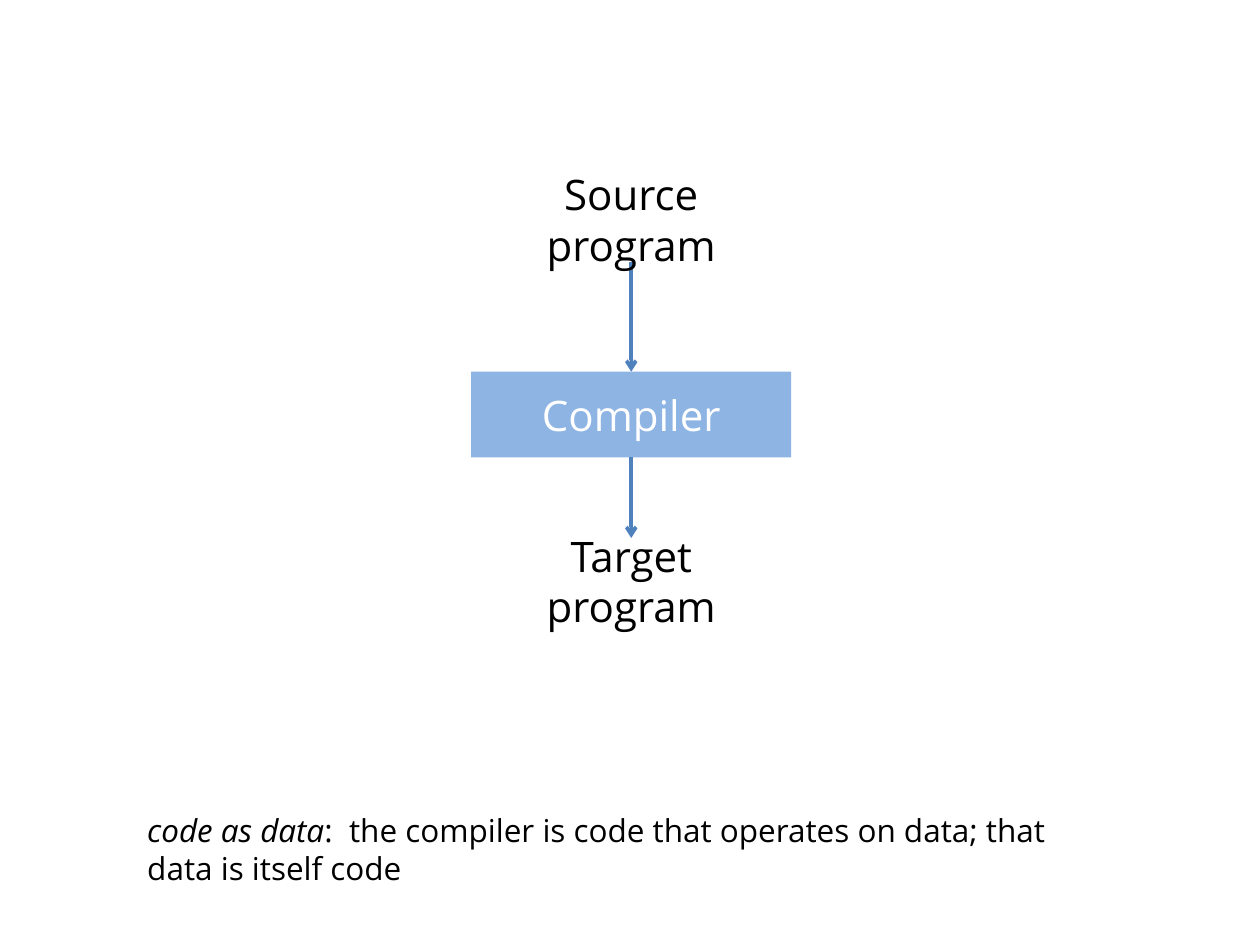
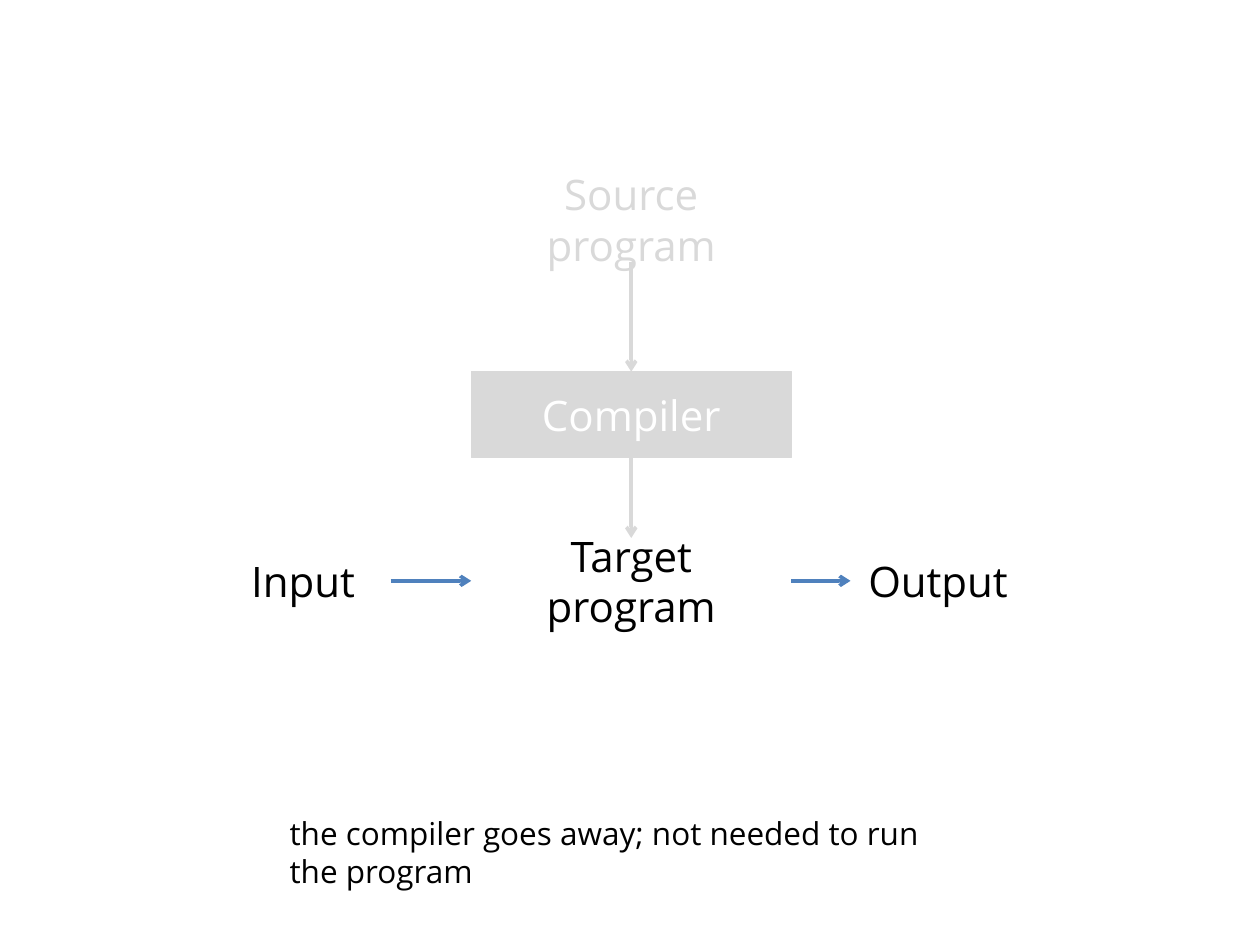
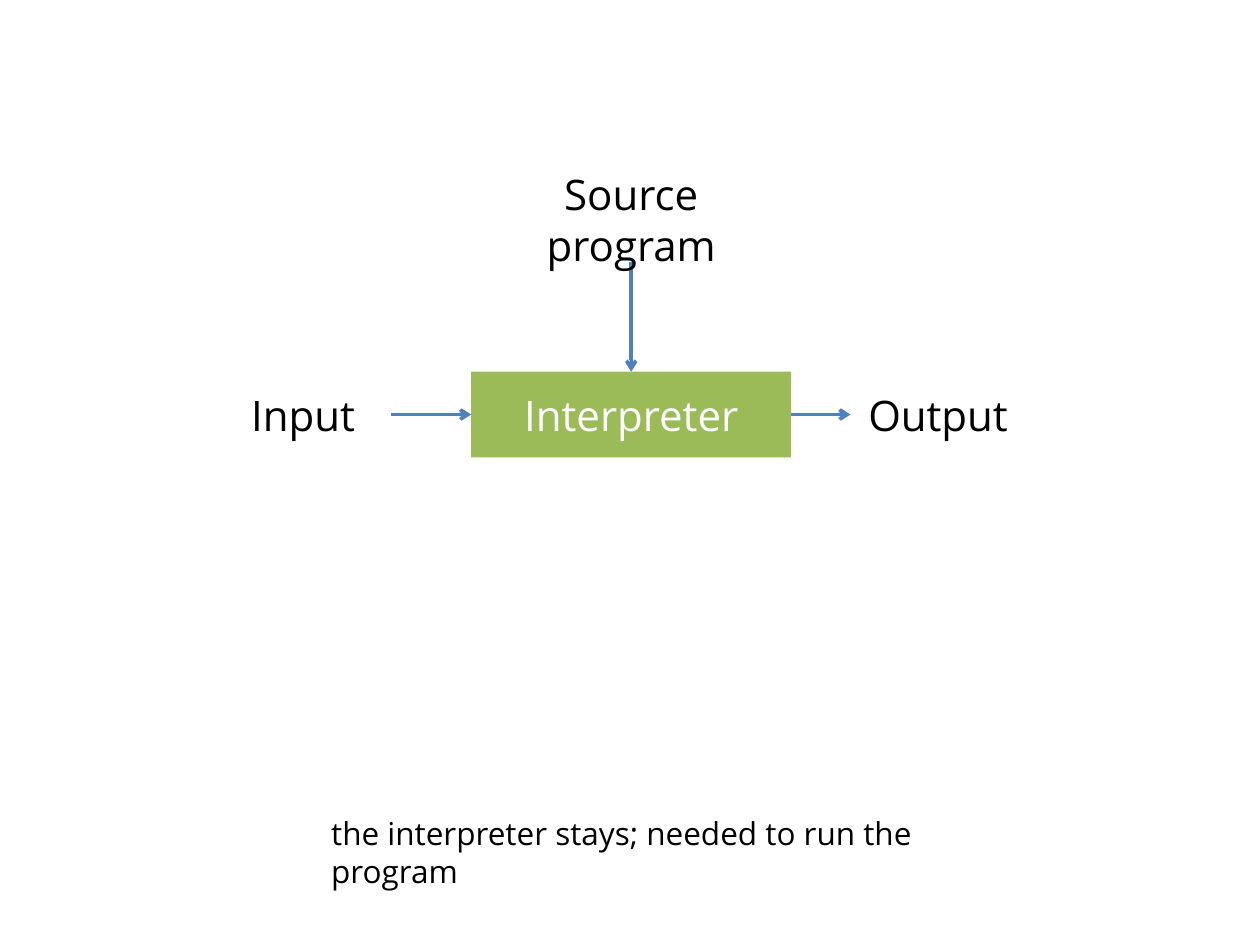
from dataclasses import dataclass

from pptx import Presentation
from pptx.dml.color import RGBColor as Color
from pptx.enum.shapes import MSO_CONNECTOR as Connector, MSO_SHAPE as Shape
from pptx.enum.text import MSO_ANCHOR as Anchor, MSO_AUTO_SIZE as AutoSize, PP_ALIGN as Align
from pptx.oxml.ns import qn
from pptx.util import Inches, Pt


@dataclass(frozen=True)
class Theme:
    font: str = "Open Sans"
    label_size: int = 24
    caption_size: int = 18
    arrow_width: float = 2
    outline_width: float = 0.75
    text: str = "000000"
    inverse: str = "FFFFFF"
    arrow: str = "4F81BD"
    compiler: str = "8EB4E3"
    interpreter: str = "9BBB59"
    faded: str = "D9D9D9"


# Layout in inches: a centre column of equal rows, flanked by input and output
BOX_LEFT, BOX_WIDTH, ROW_HEIGHT = 3.74, 2.54, 0.68
BOX_RIGHT = BOX_LEFT + BOX_WIDTH
CENTER = BOX_LEFT + BOX_WIDTH / 2
SOURCE_TOP, PROCESS_TOP, TARGET_TOP = 1.4, 2.95, 4.27
INPUT_LEFT, OUTPUT_LEFT, SIDE_WIDTH = 1.71, 6.75, 1.39
CAPTION_HEIGHT = 0.4


class Diagram:
    """Draws the parts of a program diagram on the current slide."""

    def __init__(self, deck, theme):
        self.deck = deck
        self.theme = theme
        self.slide = None

    def new_slide(self):
        self.slide = self.deck.slides.add_slide(self.deck.slide_layouts[6])

    def add_span(self, para, text, size, color, italic=False):
        span = para.add_run()
        span.text = text
        font_format = {"name": self.theme.font, "size": Pt(size), "italic": italic}
        for name, value in font_format.items():
            setattr(span.font, name, value)
        span.font.color.rgb = Color.from_string(color)

    def center_text(self, box, text, color):
        frame = box.text_frame
        frame_format = {"word_wrap": True, "vertical_anchor": Anchor.MIDDLE}
        for name, value in frame_format.items():
            setattr(frame, name, value)
        para = frame.paragraphs[0]
        para.alignment = Align.CENTER
        self.add_span(para, text, self.theme.label_size, color)

    def label(self, text, top, left=BOX_LEFT, width=BOX_WIDTH, color=None):
        box = self.slide.shapes.add_textbox(
            Inches(left), Inches(top), Inches(width), Inches(ROW_HEIGHT))
        self.center_text(box, text, color or self.theme.text)

    def process(self, text, fill, outlined=False):
        box = self.slide.shapes.add_shape(
            Shape.RECTANGLE, Inches(BOX_LEFT), Inches(PROCESS_TOP),
            Inches(BOX_WIDTH), Inches(ROW_HEIGHT))
        box.shadow.inherit = False
        box.fill.solid()
        box.fill.fore_color.rgb = Color.from_string(fill)
        if outlined:
            box.line.color.rgb = Color.from_string(fill)
            box.line.width = Pt(self.theme.outline_width)
        else:
            box.line.fill.background()
        self.center_text(box, text, self.theme.inverse)

    def arrow(self, start, end, color=None):
        points = [Inches(value) for value in (*start, *end)]
        line = self.slide.shapes.add_connector(Connector.STRAIGHT, *points)
        line.line.color.rgb = Color.from_string(color or self.theme.arrow)
        line.line.width = Pt(self.theme.arrow_width)
        # Arrowhead, and an empty effect list to switch the shadow off
        properties = line._element.spPr
        outline = properties.find(qn("a:ln"))
        head = outline.makeelement(qn("a:tailEnd"), {"type": "arrow"})
        outline.append(head)
        properties.append(properties.makeelement(qn("a:effectLst"), {}))

    def down_arrow(self, top, bottom, color=None):
        self.arrow((CENTER, top), (CENTER, bottom), color)

    def source(self, color=None):
        """The source program and the arrow from it to the process box."""
        self.down_arrow(SOURCE_TOP + ROW_HEIGHT, PROCESS_TOP, color)
        self.label("Source program", SOURCE_TOP, color=color)

    def target(self, arrow_color=None):
        """The target program and the arrow to it from the process box."""
        self.down_arrow(PROCESS_TOP + ROW_HEIGHT, TARGET_TOP, arrow_color)
        self.label("Target program", TARGET_TOP)

    def input_output(self, top):
        """Input on the left and output on the right of one row."""
        middle = top + ROW_HEIGHT / 2
        self.label("Input", top, INPUT_LEFT, SIDE_WIDTH)
        self.label("Output", top, OUTPUT_LEFT, SIDE_WIDTH)
        self.arrow((INPUT_LEFT + SIDE_WIDTH, middle), (BOX_LEFT, middle))
        self.arrow((BOX_RIGHT, middle), (OUTPUT_LEFT, middle))

    def caption(self, text, left, width, top=6.41, lead=None):
        box = self.slide.shapes.add_textbox(
            Inches(left), Inches(top), Inches(width), Inches(CAPTION_HEIGHT))
        frame_format = {"word_wrap": True, "auto_size": AutoSize.SHAPE_TO_FIT_TEXT}
        for name, value in frame_format.items():
            setattr(box.text_frame, name, value)
        para = box.text_frame.paragraphs[0]
        if lead:
            self.add_span(para, lead, self.theme.caption_size, self.theme.text, italic=True)
        self.add_span(para, text, self.theme.caption_size, self.theme.text)


theme = Theme()
deck = Presentation()
deck.slide_width, deck.slide_height = Inches(10), Inches(7.5)
diagram = Diagram(deck, theme)

# Slide 1: compiling
diagram.new_slide()
diagram.process("Compiler", theme.compiler)
diagram.source()
diagram.target()
diagram.caption(":  the compiler is code that operates on data; that data is itself code",
                left=1.07, width=7.89, top=6.39, lead="code as data")

# Slide 2: running the compiled program
diagram.new_slide()
diagram.process("Compiler", theme.faded, outlined=True)
diagram.source(theme.faded)
diagram.target(theme.faded)
diagram.input_output(TARGET_TOP)
diagram.caption("the compiler goes away; not needed to run the program", left=2.2, width=5.62)

# Slide 3: interpreting
diagram.new_slide()
diagram.process("Interpreter", theme.interpreter)
diagram.source()
diagram.input_output(PROCESS_TOP)
diagram.caption("the interpreter stays; needed to run the program", left=2.53, width=4.95)

deck.save("out.pptx")
